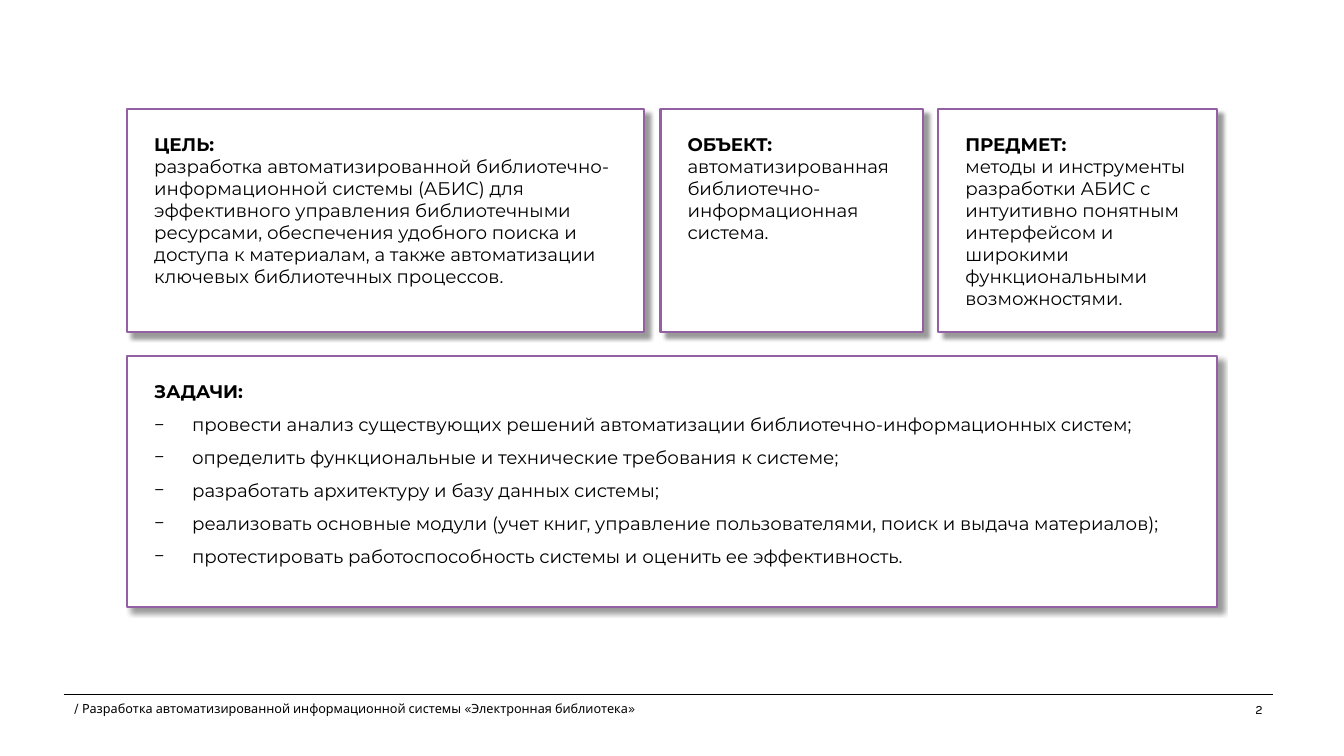
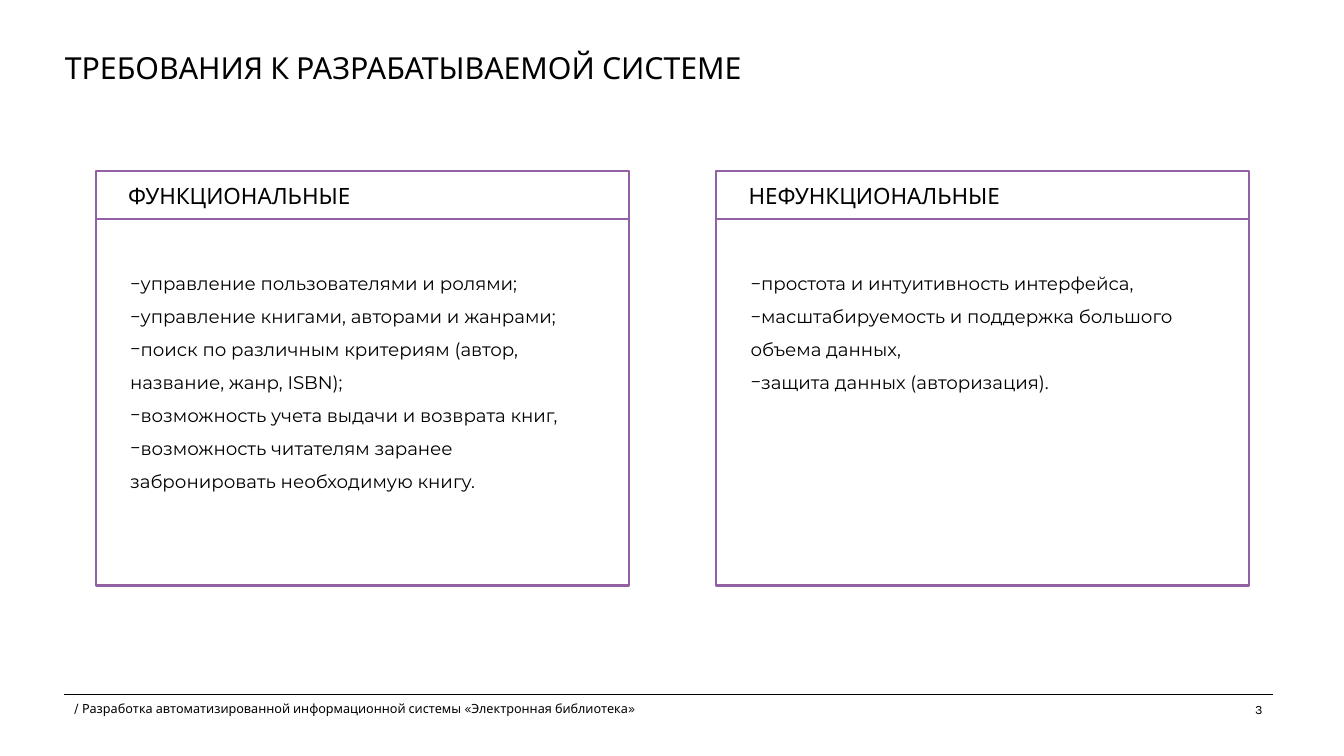
from lxml import etree
from pptx import Presentation
from pptx import util as u
from pptx.dml import color
from pptx.enum import shapes, text
from pptx.oxml import ns

INK, PAPER, PURPLE = "000000", "FFFFFF", "9460A4"
HEADING, BODY = "Karla", "Montserrat"
FOOTER = "/ Разработка автоматизированной информационной системы «Электронная библиотека»"
SLIDE_W, SLIDE_H = 958.12, 538.63
MARGIN_L, MARGIN_R, RULE_Y = 45.4, 907.2, 495
HANG = 27
BODY_INSET = 8.64
FOOTER_STYLE = {"name": HEADING, "size": u.Pt(9)}
TITLE_STYLE = {"name": HEADING, "size": u.Pt(21.6)}
PANEL_STYLE = {"name": HEADING, "size": u.Pt(16)}
BODY_STYLE = {"name": BODY, "size": u.Pt(13), "bold": False}
LABEL_STYLE = {**BODY_STYLE, "bold": True}

AIMS = [
    (90.7, 368.6, "ЦЕЛЬ:", "разработка автоматизированной библиотечно-информационной системы (АБИС) "
     "для эффективного управления библиотечными ресурсами, обеспечения удобного поиска и доступа "
     "к материалам, а также автоматизации ключевых библиотечных процессов."),
    (470.9, 187.2, "ОБЪЕКТ:", "автоматизированная библиотечно-информационная система."),
    (669, 198.7, "ПРЕДМЕТ:", "методы и инструменты разработки АБИС с интуитивно понятным "
     "интерфейсом и широкими функциональными возможностями."),
]
TASKS = [
    "провести анализ существующих решений автоматизации библиотечно-информационных систем;",
    "определить функциональные и технические требования к системе;",
    "разработать архитектуру и базу данных системы;",
    "реализовать основные модули (учет книг, управление пользователями, поиск и выдача материалов);",
    "протестировать работоспособность системы и оценить ее эффективность.",
]
REQUIREMENTS = [
    ("ФУНКЦИОНАЛЬНЫЕ", [
        "управление пользователями и ролями;",
        "управление книгами, авторами и жанрами;",
        "поиск по различным критериям (автор, название, жанр, ISBN);",
        "возможность учета выдачи и возврата книг,",
        "возможность читателям заранее забронировать необходимую книгу.",
    ]),
    ("НЕФУНКЦИОНАЛЬНЫЕ", [
        "простота и интуитивность интерфейса,",
        "масштабируемость и поддержка большого объема данных,",
        "защита данных (авторизация).",
    ]),
]


def rgb(hex_code):
    """Turn a hex string into a colour."""
    return color.RGBColor.from_string(hex_code)


def place(left, top, width, height):
    """Convert a box in points to lengths."""
    return [u.Pt(v) for v in (left, top, width, height)]


def add_bullet(paragraph, margin):
    """Give a paragraph a minus bullet with a hanging indent."""
    props = paragraph._p.get_or_add_pPr()
    props.set("marL", str(u.Pt(margin)))
    props.set("indent", str(-u.Pt(HANG)))
    etree.SubElement(props, ns.qn("a:buFont")).set("typeface", BODY)
    etree.SubElement(props, ns.qn("a:buChar")).set("char", "−")


def add_text(slide, box, lines, inset=None, anchor=text.MSO_ANCHOR.TOP):
    """Write lines of (wording, font style, paragraph format, bullet margin) in a box."""
    frame = slide.shapes.add_textbox(*place(*box)).text_frame
    frame.word_wrap = True
    frame.vertical_anchor = anchor
    if inset is not None:
        for side in ("left", "top", "right", "bottom"):
            setattr(frame, f"margin_{side}", u.Pt(inset))
    for index, (wording, style, layout, margin) in enumerate(lines):
        paragraph = frame.add_paragraph() if index else frame.paragraphs[0]
        if margin is not None:
            add_bullet(paragraph, margin)
        for key, value in layout.items():
            setattr(paragraph, key, value)
        run = paragraph.add_run()
        run.text = wording
        for key, value in style.items():
            setattr(run.font, key, value)
        run.font.color.rgb = rgb(INK)


def bullets(items, margin, **layout):
    """Describe body items as bulleted lines."""
    return [(item, BODY_STYLE, {"line_spacing": 1.5, **layout}, margin) for item in items]


def add_frame(slide, box):
    """Draw an unfilled purple rectangle."""
    frame = slide.shapes.add_shape(shapes.MSO_SHAPE.RECTANGLE, *place(*box))
    frame.shadow.inherit = False
    frame.fill.background()
    frame.line.color.rgb = rgb(PURPLE)
    frame.line.width = u.Pt(1.5)
    return frame


def add_card(slide, box, lines):
    """Draw a white card with a soft shadow and its text."""
    left, top, width, height = box
    card = add_frame(slide, box)
    card.fill.solid()
    card.fill.fore_color.rgb = rgb(PAPER)
    effects = card._element.spPr.find(ns.qn("a:effectLst"))
    shade = etree.SubElement(effects, ns.qn("a:outerShdw"), blurRad=str(u.Pt(3)),
                             dist=str(u.Pt(5)), dir="2700000", algn="tl", rotWithShape="0")
    tint = etree.SubElement(shade, ns.qn("a:srgbClr"), val=INK)
    etree.SubElement(tint, ns.qn("a:alpha"), val="40000")
    add_text(slide, (left + 10.6, top + 8.8, width - 21.2, height - 18), lines, BODY_INSET)


def add_panel(slide, box, heading, items):
    """Draw a requirements panel with a heading strip above a list."""
    left, top, width, height = box
    strip = 34.2
    add_frame(slide, (left, top, width, strip))
    add_frame(slide, (left, top + strip, width, height - strip))
    add_text(slide, (left + 16, top + 4.6, width - 33, 26.6), [(heading, PANEL_STYLE, {}, None)])
    add_text(slide, (left + 16, top + strip + 22, width - 33, 180), bullets(items, 0), BODY_INSET)


def add_footer(slide, number):
    """Draw the footer rule, the topic and the page number."""
    rule = slide.shapes.add_connector(shapes.MSO_CONNECTOR.STRAIGHT, u.Pt(MARGIN_L), u.Pt(RULE_Y),
                                      u.Pt(MARGIN_R), u.Pt(RULE_Y))
    rule.line.color.rgb = rgb(INK)
    rule.line.width = u.Pt(0.5)
    etree.SubElement(rule._element.spPr, ns.qn("a:effectLst"))
    add_text(slide, (MARGIN_L, RULE_Y + 0.5, 425.5, 28.8), [(FOOTER, FOOTER_STYLE, {}, None)])
    add_text(slide, (MARGIN_R - 215.6, RULE_Y + 1.5, 215.6, 26),
             [(str(number), FOOTER_STYLE, {"alignment": text.PP_ALIGN.RIGHT}, None)])


def build_aims(slide):
    """Lay out the aim, object and subject cards above the tasks card."""
    tasks = bullets(TASKS, HANG, alignment=text.PP_ALIGN.JUSTIFY)
    add_card(slide, (90.7, 253.8, 777, 178.8), [("ЗАДАЧИ:", LABEL_STYLE, {}, None), *tasks])
    for left, width, heading, wording in AIMS:
        add_card(slide, (left, 77.8, width, 158.8),
                 [(heading, LABEL_STYLE, {}, None), (wording, BODY_STYLE, {}, None)])


def build_requirements(slide):
    """Lay out the title and the two requirement panels."""
    add_text(slide, (39.1, 35.8, 868.1, 28),
             [("ТРЕБОВАНИЯ К РАЗРАБАТЫВАЕМОЙ СИСТЕМЕ", TITLE_STYLE, {"line_spacing": 0.9}, None)],
             anchor=text.MSO_ANCHOR.MIDDLE)
    for column, (heading, items) in enumerate(REQUIREMENTS):
        add_panel(slide, (68.2 + column * 442.3, 121.7, 380, 295.5), heading, items)


def main():
    """Build and save the presentation."""
    deck = Presentation()
    deck.slide_width, deck.slide_height = u.Pt(SLIDE_W), u.Pt(SLIDE_H)
    for number, build in enumerate((build_aims, build_requirements), start=2):
        slide = deck.slides.add_slide(deck.slide_layouts[6])
        build(slide)
        add_footer(slide, number)
    deck.save("out.pptx")


if __name__ == "__main__":
    main()
